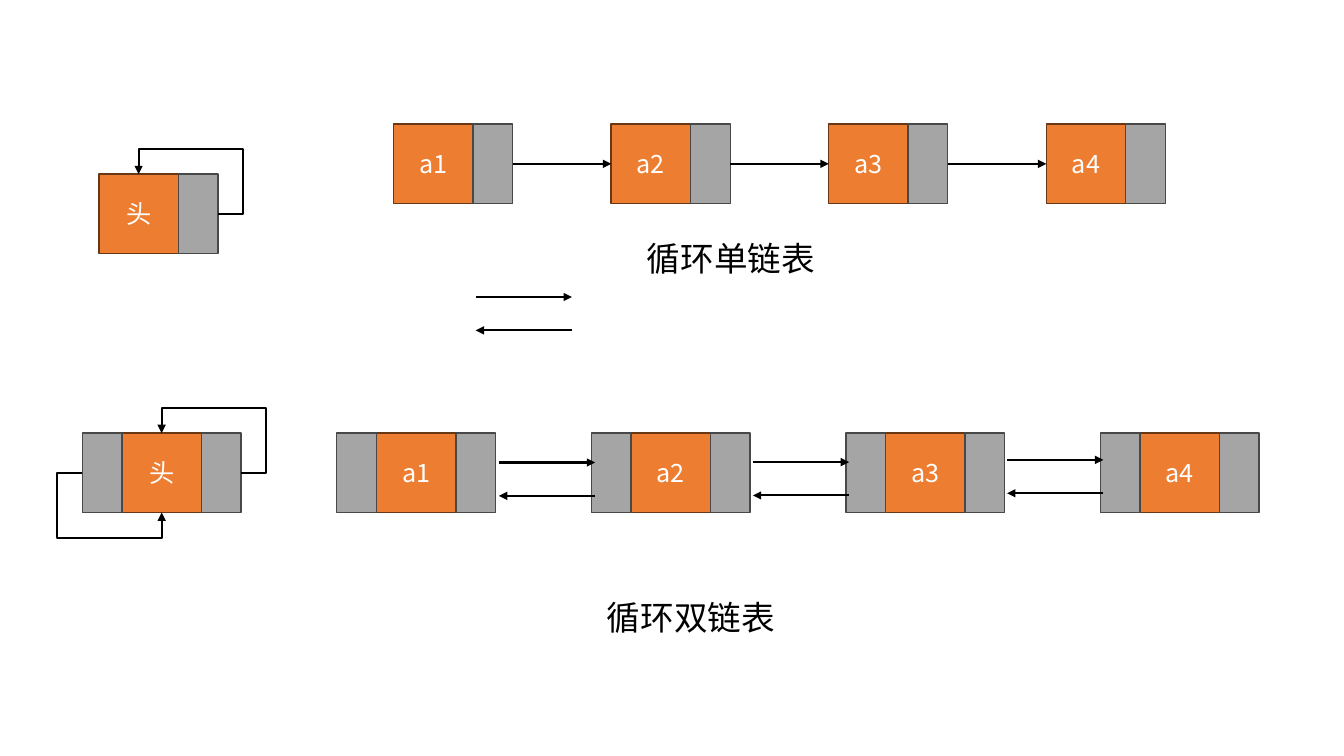
from lxml.etree import SubElement
from pptx import Presentation
from pptx.dml.color import RGBColor
from pptx.enum.shapes import MSO_CONNECTOR as CXN, MSO_SHAPE
from pptx.enum.text import MSO_ANCHOR, MSO_AUTO_SIZE, PP_ALIGN
from pptx.oxml.ns import qn
from pptx.util import Pt

ORANGE = RGBColor(0xED, 0x7D, 0x31)
BROWN = RGBColor(0x68, 0x37, 0x15)
GRAY = RGBColor(0xA5, 0xA5, 0xA5)
DARK_GRAY = RGBColor(0x48, 0x48, 0x48)
WHITE = RGBColor(0xFF, 0xFF, 0xFF)
BLACK = RGBColor(0, 0, 0)
FONT = "Noto Sans CJK SC"
CELL = 56.7
HALF = CELL / 2
ARROW = 68.7
ARROW_GAP = 23.8
TOP, LEFT, BOTTOM, RIGHT = range(4)
NAMES = ["a1", "a2", "a3", "a4"]


def set_text(tf, text, size, color):
    p = tf.paragraphs[0]
    p.text = text
    font = p.runs[0].font
    font.size = Pt(size)
    font.color.rgb = color
    font.name = FONT
    SubElement(p.runs[0]._r.get_or_add_rPr(), qn("a:ea"), typeface=FONT)
    return p


def add_cell(shapes, x, y, width, fill, border):
    sp = shapes.add_shape(MSO_SHAPE.RECTANGLE, Pt(x), Pt(y), Pt(width), Pt(CELL))
    sp.shadow.inherit = False
    sp.fill.solid()
    sp.fill.fore_color.rgb = fill
    sp.line.color.rgb = border
    sp.line.width = Pt(1)
    return sp


def add_node(s, x, y, name, double=False):
    shapes = s.shapes.add_group_shape().shapes
    data_x = x + HALF if double else x
    data = add_cell(shapes, data_x, y, CELL, ORANGE, BROWN)
    tf = data.text_frame
    tf.vertical_anchor = MSO_ANCHOR.MIDDLE
    set_text(tf, name, 18, WHITE).alignment = PP_ALIGN.CENTER
    after = add_cell(shapes, data_x + CELL, y, HALF, GRAY, DARK_GRAY)
    before = add_cell(shapes, x, y, HALF, GRAY, DARK_GRAY) if double else None
    return before, data, after


def add_arrow(shapes, x1, y1, x2, y2, kind=CXN.STRAIGHT):
    cxn = shapes.add_connector(kind, Pt(x1), Pt(y1), Pt(x2), Pt(y2))
    cxn.line.color.rgb = BLACK
    cxn.line.width = Pt(1.5)
    SubElement(cxn.line._get_or_add_ln(), qn("a:tailEnd"), type="triangle")
    SubElement(cxn._element.spPr, qn("a:effectLst"))
    return cxn


def link(s, start, start_site, end, end_site, kind=CXN.STRAIGHT):
    cxn = add_arrow(s.shapes, 0, 0, 0, 0, kind)
    cxn.begin_connect(start, start_site)
    cxn.end_connect(end, end_site)
    return cxn


def add_loop(s, start, start_site, end, end_site):
    cxn = link(s, start, start_site, end, end_site, CXN.ELBOW)
    geom = cxn._element.spPr.find(qn("a:prstGeom"))
    geom.set("prst", "bentConnector4")
    guides = geom.find(qn("a:avLst"))
    for name, value in (("adj1", -31800), ("adj2", 163500)):
        SubElement(guides, qn("a:gd"), name=name, fmla=f"val {value}")


def add_arrow_pair(s, x, y):
    shapes = s.shapes.add_group_shape().shapes
    add_arrow(shapes, x, y, x + ARROW, y)
    add_arrow(shapes, x + ARROW, y + ARROW_GAP, x, y + ARROW_GAP)


def add_caption(s, x, y, text):
    tb = s.shapes.add_textbox(Pt(x), Pt(y), Pt(135.4), Pt(36))
    tf = tb.text_frame
    tf.word_wrap = False
    tf.auto_size = MSO_AUTO_SIZE.SHAPE_TO_FIT_TEXT
    set_text(tf, text, 24, BLACK)


def add_single_list(s):
    _, head, head_next = add_node(s, 70.7, 124.4, "头")
    nodes = [add_node(s, 281.2 + 155.4 * i, 88.7, name)
             for i, name in enumerate(NAMES)]
    for (_, _, after), (_, data, _) in zip(nodes, nodes[1:]):
        link(s, after, RIGHT, data, LEFT)
    add_loop(s, head_next, RIGHT, head, TOP)
    add_caption(s, 455, 166.3, "循环单链表")


def add_double_list(s):
    head_prev, head, head_next = add_node(s, 58.8, 309.4, "头", double=True)
    for i, name in enumerate(NAMES):
        add_node(s, 240.6 + 181.8 * i, 309.4, name, double=True)
    for x, y in ((339.8, 212.2), (356.4, 330.4), (537.8, 330.1), (719.4, 328.5)):
        add_arrow_pair(s, x, y)
    add_loop(s, head_prev, LEFT, head, BOTTOM)
    add_loop(s, head_next, RIGHT, head, TOP)
    add_caption(s, 426.4, 422.6, "循环双链表")


def main():
    prs = Presentation()
    prs.slide_width = Pt(960)
    prs.slide_height = Pt(540)
    s = prs.slides.add_slide(prs.slide_layouts[6])
    add_single_list(s)
    add_double_list(s)
    prs.save("out.pptx")


main()
